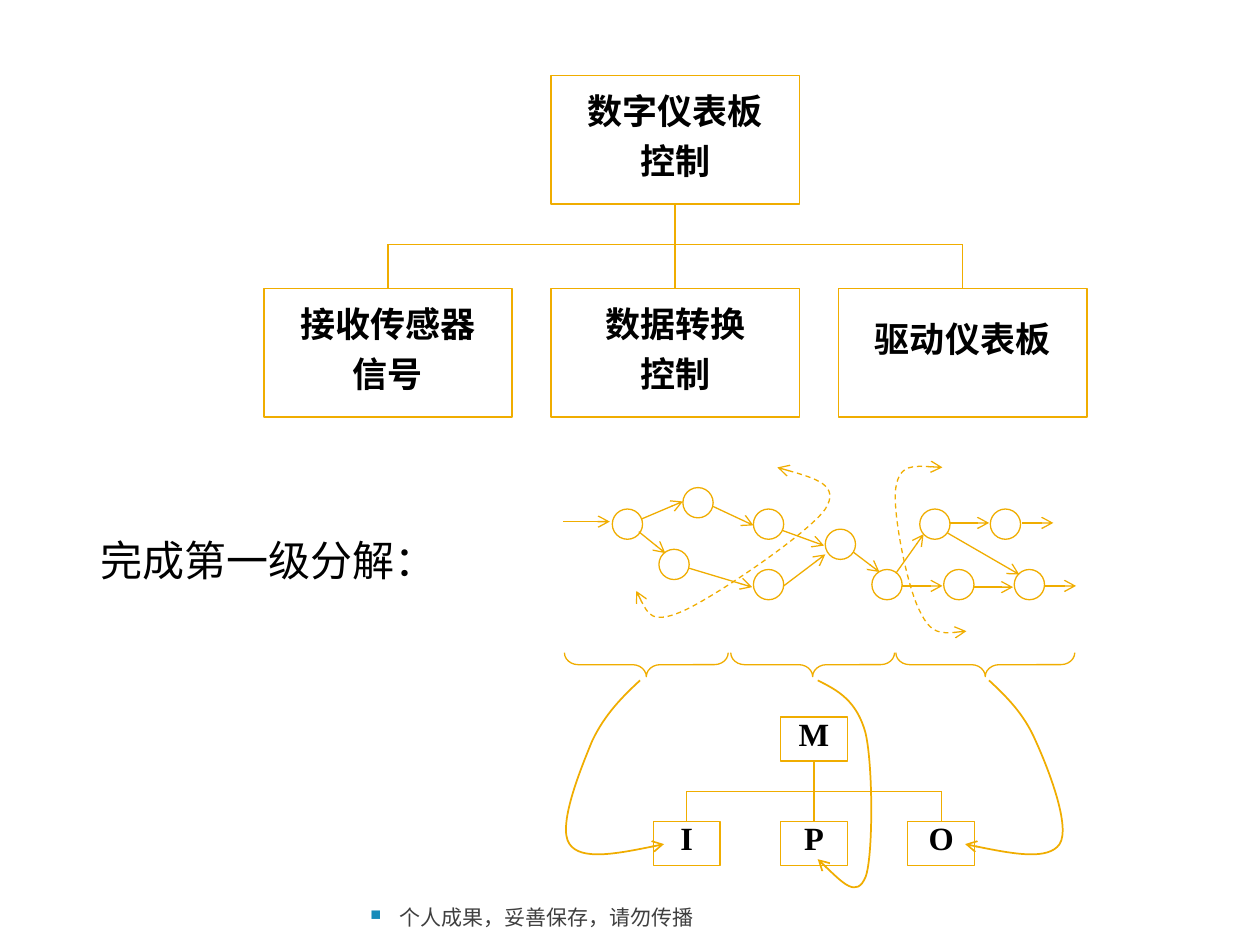
from lxml.etree import SubElement
from pptx import Presentation
from pptx.dml.color import RGBColor
from pptx.enum.dml import MSO_LINE
from pptx.enum.shapes import MSO_CONNECTOR, MSO_SHAPE
from pptx.enum.text import MSO_ANCHOR, PP_ALIGN
from pptx.oxml.ns import qn
from pptx.util import Inches, Pt

GOLD = "F0AD00"
CJK_FONT = "Noto Sans CJK SC"
HEADING = "完成第一级分解："
FOOTER = "个人成果，妥善保存，请勿传播"

TREES = [
    dict(root="数字仪表板\n控制", children=["接收传感器\n信号", "数据转换\n控制", "驱动仪表板"],
         center=5.36, pitch=2.28, box=(1.97, 1.02), tops=(0.6, 2.29), bar=1.94,
         weight=1, size=20, spacing=1.2, insets=(0.02, 0.04, 0.02, 0.04), single_line_inset=0.16),
    dict(root="M", children=["I", "P", "O"],
         center=6.46, pitch=1.01, box=(0.53, 0.35), tops=(5.69, 6.52), bar=6.28,
         weight=0.75, size=18.5, spacing=0.9, insets=(0.02, 0.01, 0.02, 0.01), single_line_inset=0.01),
]

NODE_SIZE = 0.24
NODE_ROWS = {
    3.87: [5.42],
    4.04: [4.86, 5.98, 7.3, 7.86],
    4.2: [6.55],
    4.36: [5.23],
    4.52: [5.98, 6.92, 7.49, 8.05],
}
FLOWS = [
    (4.47, 4.14, 4.84, 4.14), (5.09, 4.12, 5.42, 3.98), (5.07, 4.22, 5.28, 4.39),
    (5.66, 4.02, 5.98, 4.17), (5.47, 4.51, 5.97, 4.66), (6.21, 4.21, 6.54, 4.33),
    (6.22, 4.65, 6.55, 4.4), (6.77, 4.38, 6.98, 4.54), (7.11, 4.55, 7.33, 4.24),
    (7.16, 4.65, 7.48, 4.65), (7.54, 4.15, 7.85, 4.15), (7.73, 4.66, 8.04, 4.66),
    (7.52, 4.23, 8.09, 4.56), (8.11, 4.15, 8.36, 4.15), (8.29, 4.65, 8.54, 4.65),
]
BRACES = [(4.48, 5.78), (5.8, 7.1), (7.11, 8.53)]
BRACE_TOP, BRACE_DEPTH = 5.18, 0.19

CURVE_UNITS = 100
BOUNDARIES = [
    [(6.17, 3.71), (6.42, 3.78), (6.67, 3.85), (6.55, 4.04), (6.42, 4.23),
     (5.67, 4.74), (5.42, 4.85), (5.17, 4.96), (5.11, 4.82), (5.05, 4.69)],
    [(7.48, 3.71), (7.31, 3.7), (7.14, 3.68), (7.11, 3.87), (7.08, 4.06),
     (7.2, 4.66), (7.3, 4.85), (7.39, 5.04), (7.53, 5.03), (7.67, 5.01)],
]
MAPPINGS = [
    [(5.08, 5.4), (4.94, 5.53), (4.8, 5.67), (4.7, 5.88), (4.61, 6.1),
     (4.42, 6.56), (4.52, 6.7), (4.61, 6.83), (4.94, 6.77), (5.27, 6.7)],
    [(7.85, 5.4), (7.99, 5.53), (8.13, 5.67), (8.22, 5.88), (8.32, 6.1),
     (8.5, 6.56), (8.41, 6.7), (8.32, 6.83), (7.99, 6.77), (7.66, 6.7)],
    [(6.49, 5.4), (6.65, 5.48), (6.8, 5.56), (6.87, 5.82), (6.93, 6.08),
     (6.93, 6.8), (6.87, 6.96), (6.8, 7.13), (6.65, 6.97), (6.49, 6.82)],
]

presentation = Presentation()
presentation.slide_width, presentation.slide_height = Inches(10), Inches(7.5)
slide = presentation.slides.add_slide(presentation.slide_layouts[6])
shapes = slide.shapes


def color(value):
    return RGBColor.from_string(value)


def write(shape, text, size, font, fill="000000", bold=False, align=None, anchor=MSO_ANCHOR.TOP,
          insets=(0.1, 0.05, 0.1, 0.05), spacing=None, before=0):
    frame = shape.text_frame
    frame.word_wrap = True
    frame.vertical_anchor = anchor
    frame.margin_left, frame.margin_top, frame.margin_right, frame.margin_bottom = map(Inches, insets)
    for index, line in enumerate(text.split("\n")):
        paragraph = frame.add_paragraph() if index else frame.paragraphs[0]
        paragraph.alignment = align
        paragraph.line_spacing = spacing
        paragraph.space_before = Pt(before)
        run = paragraph.add_run()
        run.text = line
        run.font.size, run.font.name, run.font.bold = Pt(size), font, bold
        run.font.color.rgb = color(fill)
        SubElement(run.font._element, qn("a:ea"), typeface=CJK_FONT)


def add_text_box(left, top, width, height, text, **text_format):
    box = shapes.add_textbox(*map(Inches, (left, top, width, height)))
    write(box, text, **text_format)
    return box


def style_line(shape, weight, dashed=False, ends=()):
    shape.line.color.rgb = color(GOLD)
    shape.line.width = Pt(weight)
    if dashed:
        shape.line.dash_style = MSO_LINE.DASH
    for end in ends:
        SubElement(shape.line._get_or_add_ln(), qn(f"a:{end}"), type="arrow")


def add_outline(kind, left, top, width, height, weight):
    shape = shapes.add_shape(kind, *map(Inches, (left, top, width, height)))
    shape.shadow.inherit = False
    shape.fill.background()
    style_line(shape, weight)
    return shape


def add_line(x1, y1, x2, y2, weight, ends=()):
    connector = shapes.add_connector(MSO_CONNECTOR.STRAIGHT, *map(Inches, (x1, y1, x2, y2)))
    style_line(connector, weight, ends=ends)
    SubElement(connector._element.spPr, qn("a:effectLst"))


def add_curve(points, weight, dashed=False, ends=("tailEnd",)):
    start_point, *others = [(round(x * CURVE_UNITS), round(y * CURVE_UNITS)) for x, y in points]
    builder = shapes.build_freeform(*start_point, scale=Inches(1) / CURVE_UNITS)
    builder.add_line_segments(others, close=False)
    shape = builder.convert_to_shape()
    shape.shadow.inherit = False
    shape.fill.background()
    style_line(shape, weight, dashed, ends)
    segments = list(shape._element.iter(qn("a:lnTo")))
    outline = segments[0].getparent()
    for start in range(0, len(segments), 3):
        bezier = SubElement(outline, qn("a:cubicBezTo"))
        for segment in segments[start:start + 3]:
            bezier.append(segment[0])
            outline.remove(segment)


def add_tree(root, children, center, pitch, box, tops, bar, weight, size, spacing, insets,
             single_line_inset):
    width, height = box
    root_top, child_top = tops
    centers = [center + (index - 1) * pitch for index in range(len(children))]
    boxes = [(root, center, root_top)] + [(text, x, child_top) for text, x in zip(children, centers)]
    for text, x, top in boxes:
        shape = add_outline(MSO_SHAPE.RECTANGLE, x - width / 2, top, width, height, weight)
        left_inset, top_inset, right_inset, bottom_inset = insets
        if "\n" not in text:
            top_inset = single_line_inset
        write(shape, text, size, "Times New Roman", bold=True, align=PP_ALIGN.CENTER, spacing=spacing,
              insets=(left_inset, top_inset, right_inset, bottom_inset))
    add_line(center, root_top + height, center, child_top, weight)
    add_line(centers[0], bar, centers[-1], bar, weight)
    for x in (centers[0], centers[-1]):
        add_line(x, bar, x, child_top, weight)


footer = add_text_box(2.89, 7.08, 6.02, 0.3, FOOTER, size=12, font="Lato", fill="3F3F3F",
                      anchor=MSO_ANCHOR.BOTTOM, insets=(0.05, 0.05, 0.05, 0), spacing=0.8, before=3)
properties = footer.text_frame.paragraphs[0]._p.get_or_add_pPr()
properties.set("marL", str(Inches(0.23)))
properties.set("indent", str(Inches(-0.23)))
SubElement(SubElement(properties, qn("a:buClr")), qn("a:srgbClr"), val="168BBA")
SubElement(properties, qn("a:buSzPct"), val="70000")
SubElement(properties, qn("a:buChar"), char="■")

add_text_box(0.7, 4.19, 3.06, 0.74, HEADING, size=24, font=CJK_FONT, before=6)

for tree in TREES:
    add_tree(**tree)
for top, lefts in NODE_ROWS.items():
    for left in lefts:
        add_outline(MSO_SHAPE.OVAL, left, top, NODE_SIZE, NODE_SIZE, 0.75)
for flow in FLOWS:
    add_line(*flow, 0.75, ends=("tailEnd",))
for points in BOUNDARIES:
    add_curve(points, 0.75, dashed=True, ends=("headEnd", "tailEnd"))
for left, right in BRACES:
    span = right - left
    brace = add_outline(MSO_SHAPE.LEFT_BRACE, (left + right - BRACE_DEPTH) / 2,
                        BRACE_TOP + (BRACE_DEPTH - span) / 2, BRACE_DEPTH, span, 0.75)
    brace.rotation = 270
    brace.adjustments[0] = 0.58
for points in MAPPINGS:
    add_curve(points, 1)

presentation.save("out.pptx")
